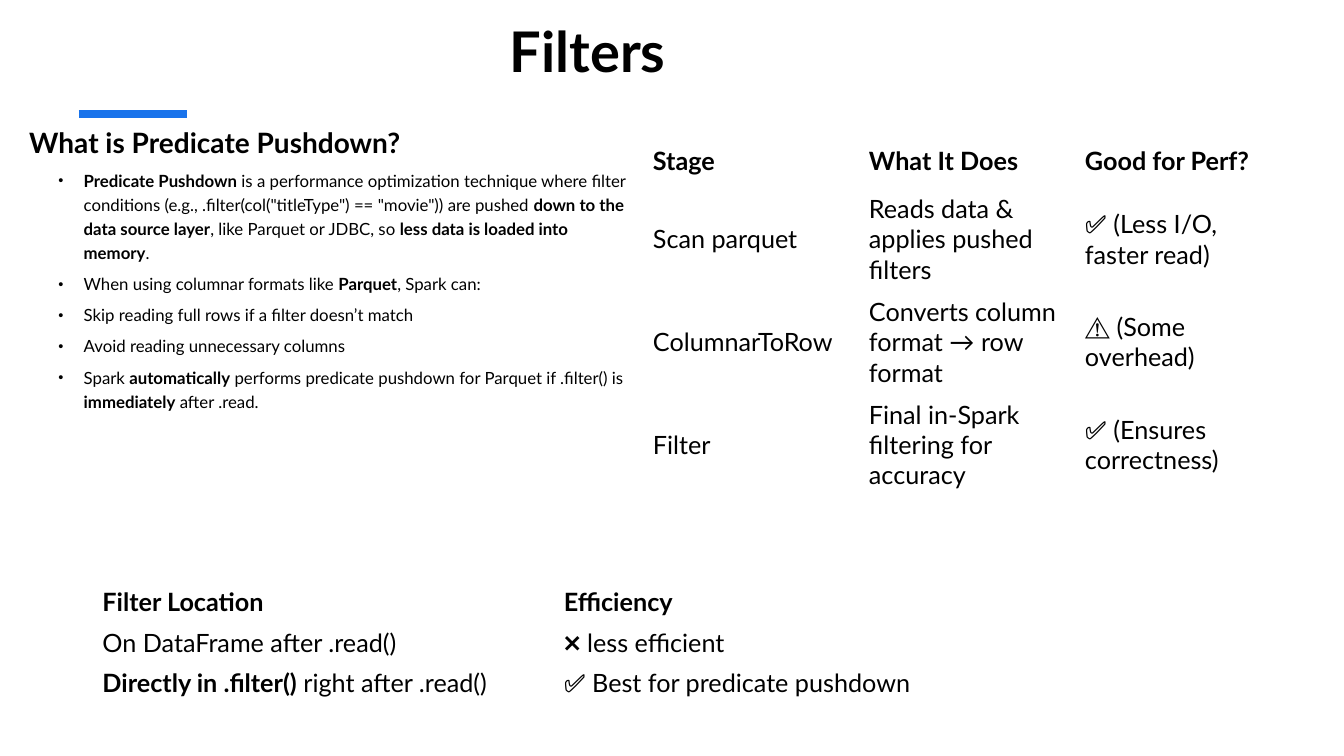
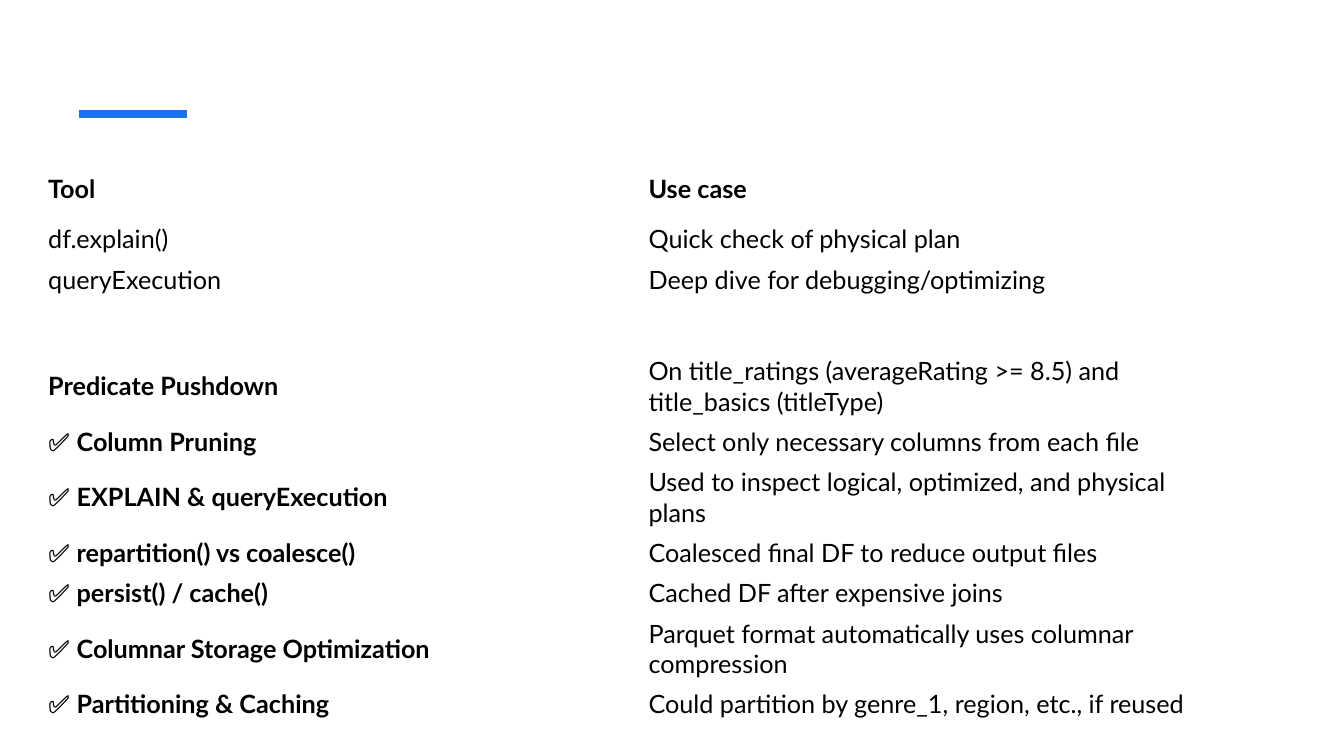
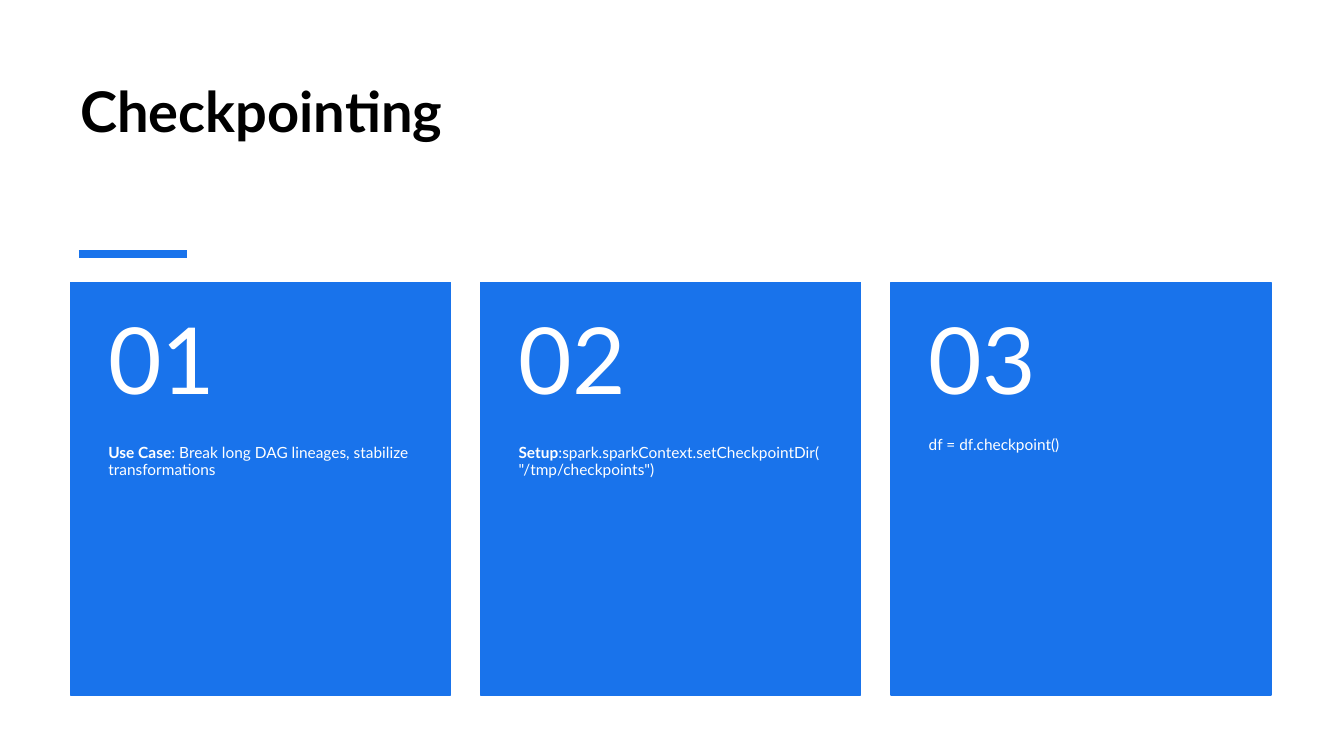
import dataclasses
import typing

import pptx
import pptx.dml.color
import pptx.enum.shapes
import pptx.enum.text
import pptx.oxml
import pptx.util
from lxml import etree

Pt = pptx.util.Pt
Anchor = pptx.enum.text.MSO_ANCHOR

FONT = "Lato"
BLACK = "000000"
WHITE = "FFFFFF"
BLUE = "1973EB"
BOLD = "**"
TABLE_SIZE = 18
DRAWING = "http://schemas.openxmlformats.org/drawingml/2006/main"


@dataclasses.dataclass(frozen=True)
class Box:
    left: float
    top: float
    width: float
    height: float

    def lengths(self) -> list:
        return [Pt(value) for value in (self.left, self.top, self.width, self.height)]


@dataclasses.dataclass(frozen=True)
class Table:
    left: float
    top: float
    column_width: float
    row_heights: tuple
    rows: tuple


@dataclasses.dataclass(frozen=True)
class Card:
    number: str
    text: str


TITLE_FORMAT = {"size": 40, "bold": True}
BULLET_FORMAT = {"line_spacing": 1.2, "space_before": Pt(5), "level": 1}

PUSHDOWN_HEADING = "What is Predicate Pushdown?"
PUSHDOWN_BULLETS = (
    '**Predicate Pushdown** is a performance optimization technique where filter conditions '
    '(e.g., .filter(col("titleType") == "movie")) are pushed **down to the data source layer**, '
    'like Parquet or JDBC, so **less data is loaded into memory**.',
    "When using columnar formats like **Parquet**, Spark can:",
    "Skip reading full rows if a filter doesn’t match",
    "Avoid reading unnecessary columns",
    "Spark **automatically** performs predicate pushdown for Parquet if .filter() is "
    "**immediately** after .read.",
)

FILTER_LOCATIONS = Table(66, 415.5, 329.5, (28.8,) * 3, (
    ("**Filter Location**", "**Efficiency**"),
    ("On DataFrame after .read()", "❌ less efficient"),
    ("**Directly in .filter()** right after .read()", "✅ Best for predicate pushdown"),
))
STAGES = Table(459.2, 95.2, 154.3, (38.9,) + (73.5,) * 3, (
    ("**Stage**", "**What It Does**", "**Good for Perf?**"),
    ("Scan parquet", "Reads data & applies pushed filters", "✅ (Less I/O, faster read)"),
    ("ColumnarToRow", "Converts column format → row format", "⚠️ (Some overhead)"),
    ("Filter", "Final in-Spark filtering for accuracy", "✅ (Ensures correctness)"),
))
TOOLS = Table(27.2, 113.2, 428.9, (43.2, 28.8, 28.8), (
    ("**Tool**", "**Use case**"),
    ("df.explain()", "Quick check of physical plan"),
    ("queryExecution", "Deep dive for debugging/optimizing"),
))
TECHNIQUES = Table(27.2, 250.6, 428.9, (50.4, 28.8, 50.4, 28.8, 28.8, 50.4, 28.8), (
    ("**Predicate Pushdown**",
     "On title_ratings (averageRating >= 8.5) and title_basics (titleType)"),
    ("✅ **Column Pruning**", "Select only necessary columns from each file"),
    ("✅ **EXPLAIN & queryExecution**", "Used to inspect logical, optimized, and physical plans"),
    ("✅ **repartition() vs coalesce()**", "Coalesced final DF to reduce output files"),
    ("✅ **persist() / cache()**", "Cached DF after expensive joins"),
    ("✅ **Columnar Storage Optimization**",
     "Parquet format automatically uses columnar compression"),
    ("✅ **Partitioning & Caching**", "Could partition by genre_1, region, etc., if reused"),
))
CARDS = (
    Card("01", "**Use Case**: Break long DAG lineages, stabilize transformations"),
    Card("02", '**Setup**:spark.sparkContext.setCheckpointDir("/tmp/checkpoints")'),
    Card("03", "df = df.checkpoint()"),
)
CARD_PITCH = 293
FIRST_CARD = Box(50.4, 201.6, 271.5, 294.8)
NUMBER_HEIGHT = 117.7


def color(value: str) -> pptx.dml.color.RGBColor:
    return pptx.dml.color.RGBColor.from_string(value)


def set_values(target: typing.Any, values: dict) -> None:
    for name, value in values.items():
        setattr(target, name, value)


def write(paragraph: typing.Any, text: str, size: float, fill: str = BLACK,
          bold: bool = False) -> None:
    """Fill a paragraph; text between double asterisks is bold."""
    for index, part in enumerate(text.split(BOLD)):
        if part:
            run = paragraph.add_run()
            run.text = part
            set_values(run.font, {"name": FONT, "size": Pt(size),
                                  "bold": bold or index % 2 == 1})
            run.font.color.rgb = color(fill)


def add_text_frame(shapes: typing.Any, box: Box, anchor: Anchor = Anchor.TOP,
                   margins: tuple = (7.2, 3.6, 7.2, 3.6)) -> typing.Any:
    frame = shapes.add_textbox(*box.lengths()).text_frame
    left, top, right, bottom = (Pt(margin) for margin in margins)
    set_values(frame, {"word_wrap": True, "vertical_anchor": anchor, "margin_left": left,
                       "margin_top": top, "margin_right": right, "margin_bottom": bottom})
    return frame


def add_title(slide: typing.Any, text: str, box: Box) -> None:
    frame = add_text_frame(slide.shapes, box)
    write(frame.paragraphs[0], text, **TITLE_FORMAT)


def add_accent(slide: typing.Any, top: float) -> None:
    connector = slide.shapes.add_connector(
        pptx.enum.shapes.MSO_CONNECTOR.STRAIGHT, Pt(56.4), Pt(top), Pt(133.4), Pt(top))
    connector.line.color.rgb = color(BLUE)
    connector.line.width = Pt(6)
    etree.SubElement(connector._element.spPr, f"{{{DRAWING}}}effectLst")


def add_bullet(paragraph: typing.Any) -> None:
    properties = paragraph._p.get_or_add_pPr()
    properties.set("marL", str(Pt(39)))
    properties.set("indent", str(Pt(-18)))
    for tag, name, value in (("buSzPct", "val", "87000"), ("buFont", "typeface", "Arial"),
                             ("buChar", "char", "•")):
        etree.SubElement(properties, f"{{{DRAWING}}}{tag}").set(name, value)


def add_table(slide: typing.Any, content: Table) -> None:
    column_count = len(content.rows[0])
    box = Box(content.left, content.top, content.column_width * column_count,
              sum(content.row_heights))
    table = slide.shapes.add_table(len(content.rows), column_count, *box.lengths()).table
    set_values(table, {"first_row": False, "horz_banding": False})
    for column in table.columns:
        column.width = Pt(content.column_width)
    for row, height, texts in zip(table.rows, content.row_heights, content.rows):
        row.height = Pt(height)
        for cell, text in zip(row.cells, texts):
            cell.fill.background()
            cell.vertical_anchor = Anchor.MIDDLE
            write(cell.text_frame.paragraphs[0], text, TABLE_SIZE)


def add_card(slide: typing.Any, card: Card, box: Box) -> None:
    shapes = slide.shapes.add_group_shape().shapes
    panel = shapes.add_shape(pptx.enum.shapes.MSO_SHAPE.RECTANGLE, *box.lengths())
    panel.shadow.inherit = False
    panel.fill.solid()
    panel.fill.fore_color.rgb = color(BLUE)
    panel.line.color.rgb = color(BLUE)
    panel.line.width = Pt(1)
    number_box = dataclasses.replace(box, height=NUMBER_HEIGHT)
    text_box = dataclasses.replace(box, top=box.top + NUMBER_HEIGHT,
                                   height=box.height - NUMBER_HEIGHT)
    for text, size, part, anchor, margins in (
        (card.text, 11, text_box, Anchor.TOP, (27, 0, 27, 26)),
        (card.number, 66, number_box, Anchor.MIDDLE, (27, 13, 27, 13)),
    ):
        paragraph = add_text_frame(shapes, part, anchor, margins).paragraphs[0]
        paragraph.line_spacing = 0.9
        write(paragraph, text, size, WHITE)


def build_filters(slide: typing.Any) -> None:
    add_accent(slide, 81.4)
    add_title(slide, "Filters", Box(357.1, 8.6, 157.7, 86.4))
    frame = add_text_frame(slide.shapes, Box(13.7, 81.4, 445.7, 450))
    heading = frame.paragraphs[0]
    heading.line_spacing = 1.2
    write(heading, PUSHDOWN_HEADING, 20, bold=True)
    for text in PUSHDOWN_BULLETS:
        paragraph = frame.add_paragraph()
        add_bullet(paragraph)
        set_values(paragraph, BULLET_FORMAT)
        write(paragraph, text, 12)
    add_table(slide, FILTER_LOCATIONS)
    add_table(slide, STAGES)


def build_tools(slide: typing.Any) -> None:
    add_accent(slide, 81.4)
    add_table(slide, TOOLS)
    add_table(slide, TECHNIQUES)


def build_checkpointing(slide: typing.Any) -> None:
    add_title(slide, "Checkpointing", Box(50.4, 51.4, 857.5, 102.6))
    add_accent(slide, 181.6)
    for index, card in enumerate(CARDS):
        left = FIRST_CARD.left + index * CARD_PITCH
        add_card(slide, card, dataclasses.replace(FIRST_CARD, left=left))


def main() -> None:
    presentation = pptx.Presentation()
    set_values(presentation, {"slide_width": Pt(960), "slide_height": Pt(540)})
    blank_layout = presentation.slide_layouts[6]
    for build in (build_filters, build_tools, build_checkpointing):
        build(presentation.slides.add_slide(blank_layout))
    presentation.save("out.pptx")


if __name__ == "__main__":
    main()
